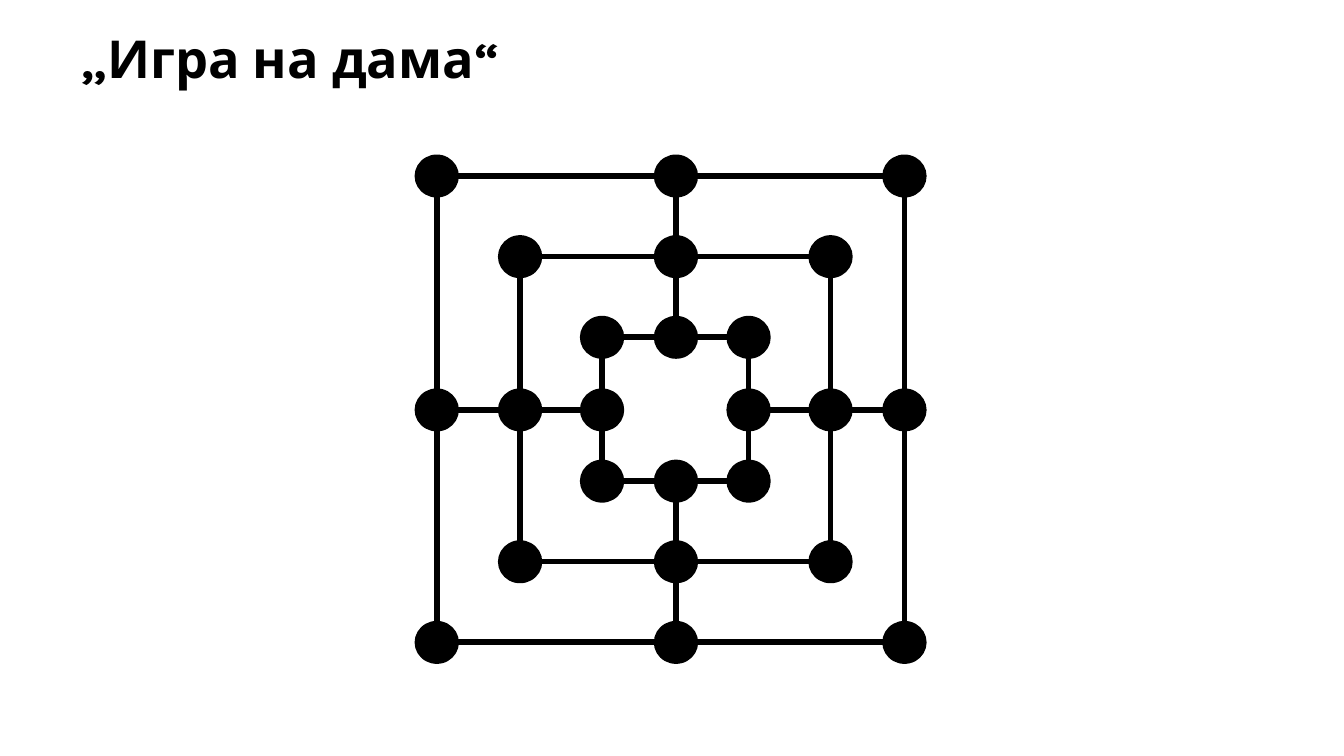
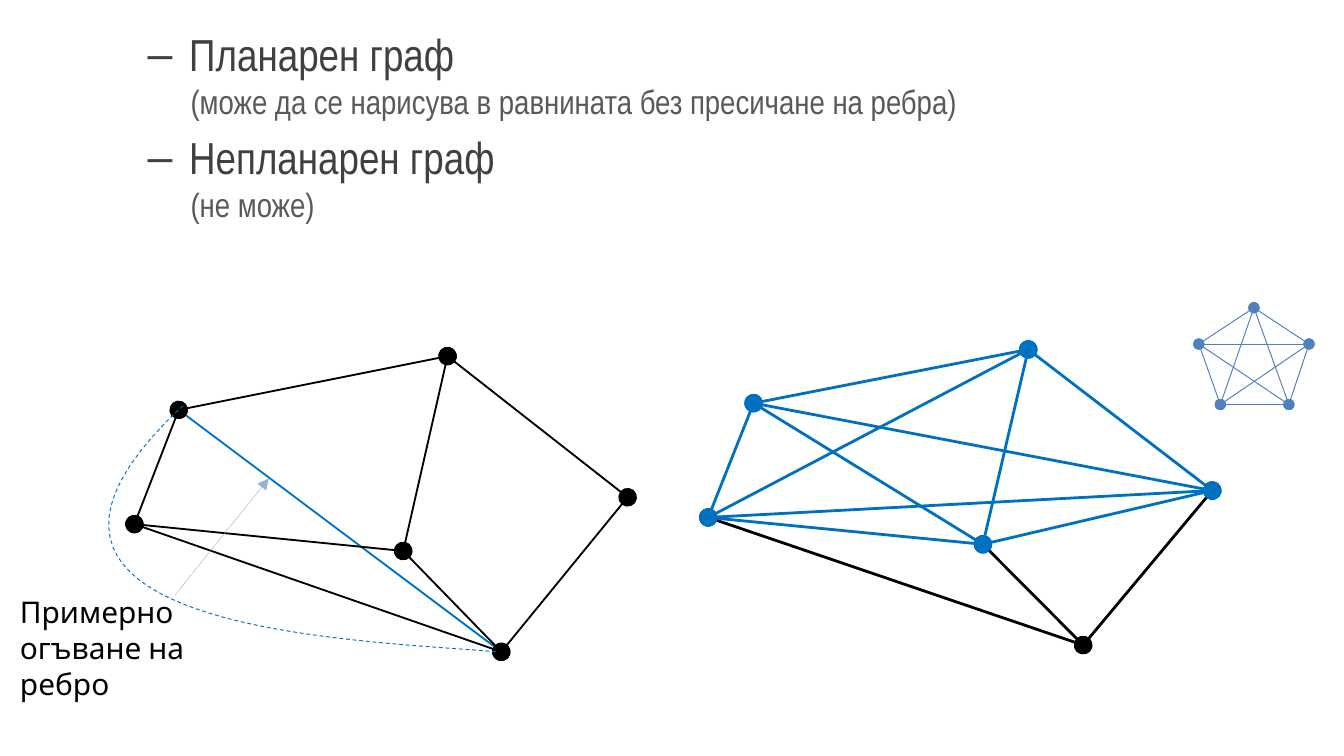
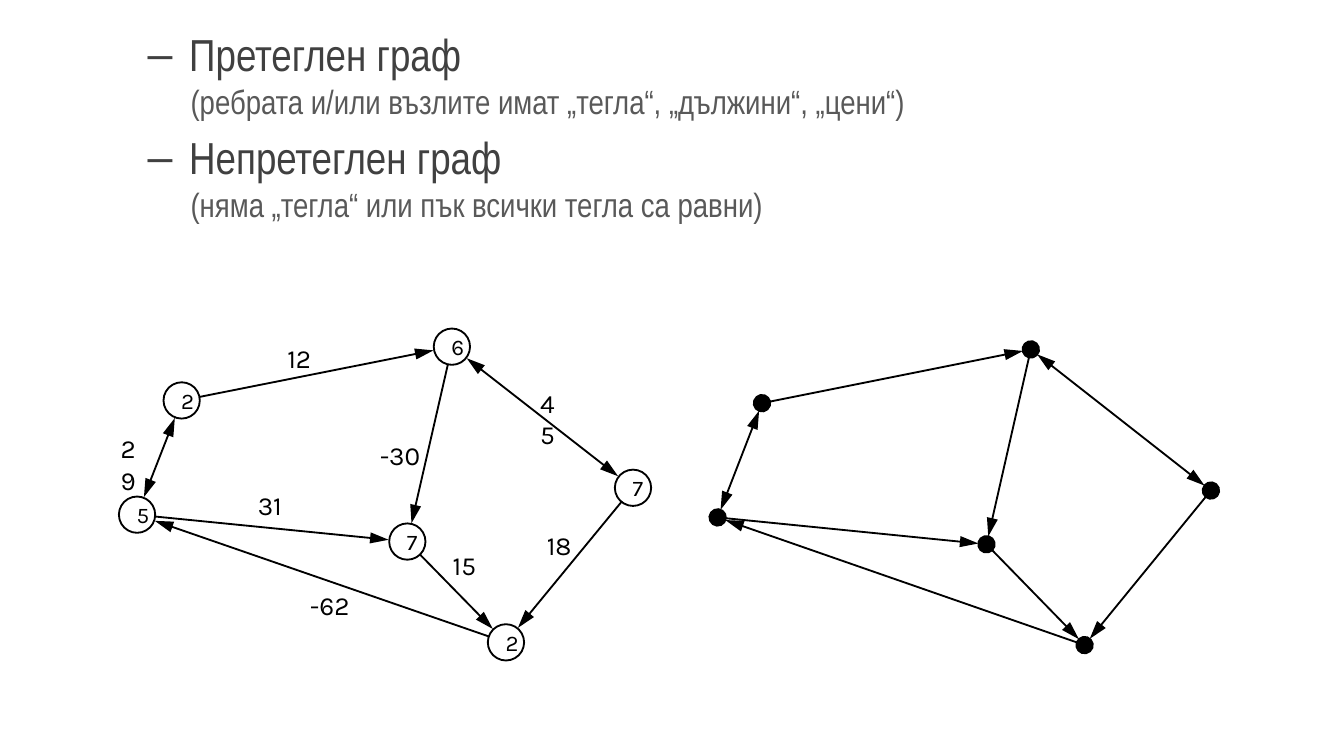
from itertools import combinations
from math import hypot

from lxml import etree
from pptx import Presentation
from pptx.dml.color import RGBColor
from pptx.enum.dml import MSO_LINE_DASH_STYLE as DASH
from pptx.enum.shapes import MSO_CONNECTOR, MSO_SHAPE
from pptx.enum.text import MSO_ANCHOR, MSO_AUTO_SIZE, PP_ALIGN
from pptx.oxml.ns import qn
from pptx.util import Inches, Pt

BLACK = RGBColor(0x00, 0x00, 0x00)
WHITE = RGBColor(0xFF, 0xFF, 0xFF)
BLUE = RGBColor(0x00, 0x70, 0xC0)
STEEL = RGBColor(0x4F, 0x81, 0xBD)
PALE_BLUE = RGBColor(0x95, 0xB3, 0xD7)
TERM_GREY = RGBColor(0x40, 0x40, 0x40)
NOTE_GREY = RGBColor(0x59, 0x59, 0x59)
BODY_FONT = "Arial Narrow"
LABEL_FONT = "Karla"
SLIDE_WIDTH = 10
SLIDE_HEIGHT = SLIDE_WIDTH * 9 / 16
BODY_BOX = (0.5, 0.15, 9.5, 5.17)

# Line ends: kind, width, length
DOT = ("oval", "lg", "lg")
SMALL_DOT = ("oval", "med", "med")
ARROW = ("triangle", "med", "lg")
SMALL_ARROW = ("triangle", "med", "med")

# Six-node layout within a box of GRAPH_SIZE
GRAPH_SIZE = (3.67, 2.2)
GRAPH_NODES = {"A": (0.33, 0.4), "B": (2.33, 0), "C": (3.67, 1.05),
               "D": (2, 1.45), "E": (0, 1.25), "F": (2.73, 2.2)}
PLANAR_EDGES = ("ED", "EF", "AB", "BD", "BC", "DF", "CF", "EA")
ONE_WAY_EDGES = ("ED", "FE", "AB", "BD", "CF", "DF")
TWO_WAY_EDGES = ("EA", "BC")

# Five-node layout within its own box
PENTAGON = ((0.41, 0), (0.82, 0.27), (0.67, 0.72), (0.16, 0.72), (0, 0.27))


def style_font(font, size, color, name, bold=False):
    font.size, font.name, font.bold = Pt(size), name, bold
    font.color.rgb = color


def add_text(slide, box, text, size, bold=False, wrap=True, grow=True):
    frame = slide.shapes.add_textbox(*map(Inches, box)).text_frame
    frame.word_wrap = wrap
    frame.auto_size = MSO_AUTO_SIZE.SHAPE_TO_FIT_TEXT if grow else MSO_AUTO_SIZE.NONE
    frame.text = text
    style_font(frame.paragraphs[0].font, size, BLACK, LABEL_FONT, bold)


def add_line(slide, start, end, color, width, head=None, tail=None, dash=None):
    line = slide.shapes.add_connector(MSO_CONNECTOR.STRAIGHT,
                                      *map(Inches, (*start, *end)))
    line.line.color.rgb = color
    line.line.width = Pt(width)
    if dash:
        line.line.dash_style = dash
    properties = line._element.spPr
    outline = properties.find(qn("a:ln"))
    for tag, line_end in (("a:headEnd", head), ("a:tailEnd", tail)):
        if line_end:
            etree.SubElement(outline, qn(tag), dict(zip(("type", "w", "len"), line_end)))
    etree.SubElement(properties, qn("a:effectLst"))


def add_preset(slide, preset, box, fill=None, width=None):
    shape = slide.shapes.add_shape(preset, *map(Inches, box))
    shape.shadow.inherit = False
    if fill is None:
        shape.fill.background()
    else:
        shape.fill.solid()
        shape.fill.fore_color.rgb = fill
    if width is None:
        shape.line.fill.background()
    else:
        shape.line.color.rgb = BLACK
        shape.line.width = Pt(width)
    return shape


def add_definitions(slide, definitions):
    """Dashed terms, each followed by an indented explanation."""
    frame = slide.shapes.add_textbox(*map(Inches, BODY_BOX)).text_frame
    frame.word_wrap = True
    rows = []
    for term, note in definitions:
        rows += [(term, 1, 0.81, 24, TERM_GREY), (note, 2, 1.13, 18, NOTE_GREY)]
    for index, (text, level, margin, size, color) in enumerate(rows):
        paragraph = frame.add_paragraph() if index else frame.paragraphs[0]
        paragraph.text = text
        paragraph.level = level
        properties = paragraph._p.get_or_add_pPr()
        properties.set("marL", str(Inches(margin)))
        properties.set("indent", str(Inches(-0.31)))
        if level == 1:
            if index:
                paragraph.space_before = Pt(4.8)
            etree.SubElement(properties, qn("a:buFont"), typeface="Arial")
            etree.SubElement(properties, qn("a:buChar"), char="–")
        else:
            etree.SubElement(properties, qn("a:buNone"))
        style_font(paragraph.font, size, color, BODY_FONT)


def place_nodes(left, top, width=GRAPH_SIZE[0], height=GRAPH_SIZE[1]):
    return {name: (left + x * width / GRAPH_SIZE[0], top + y * height / GRAPH_SIZE[1])
            for name, (x, y) in GRAPH_NODES.items()}


def add_edges(slide, nodes, edges, color, width, dot=DOT):
    for start, end in edges:
        add_line(slide, nodes[start], nodes[end], color, width, dot, dot)


def toward(start, end, gap):
    """The point at a given distance from start on the way to end."""
    share = gap / hypot(end[0] - start[0], end[1] - start[1])
    return tuple(a + (b - a) * share for a, b in zip(start, end))


def add_directed_graph(slide, nodes, gap):
    """Arrow tips stop short of the nodes by the gap."""
    for edge in TWO_WAY_EDGES + ONE_WAY_EDGES:
        start, end = (nodes[name] for name in edge)
        tip = toward(end, start, gap)
        if edge in TWO_WAY_EDGES:
            add_line(slide, toward(start, end, gap), tip, BLACK, 1, ARROW, ARROW)
        else:
            add_line(slide, start, tip, BLACK, 1, DOT, ARROW)


def add_bent_edge(slide, controls, steps=40):
    """Dashed cubic curve through sampled points."""
    points = []
    for step in range(steps + 1):
        t = step / steps
        weights = ((1 - t) ** 3, 3 * t * (1 - t) ** 2, 3 * t * t * (1 - t), t ** 3)
        points.append(tuple(Inches(sum(w * point[axis] for w, point in zip(weights, controls)))
                            for axis in (0, 1)))
    builder = slide.shapes.build_freeform(*points[0])
    builder.add_line_segments(points[1:], close=False)
    curve = builder.convert_to_shape()
    curve.shadow.inherit = False
    curve.fill.background()
    curve.line.color.rgb = BLUE
    curve.line.width = Pt(0.5)
    curve.line.dash_style = DASH.DASH


def add_board(slide, left, top):
    """Three nested squares, four spokes and a dot on every crossing."""
    columns = [left + x for x in (0, 0.62, 1.23, 1.78, 2.32, 2.93, 3.48)]
    rows = [top + y for y in (0, 0.6, 1.2, 1.74, 2.27, 2.87, 3.47)]
    middle, last = 3, 6
    dot_width, dot_height = 0.33, 0.32
    for ring in range(3):
        x, y = columns[ring], rows[ring]
        add_preset(slide, MSO_SHAPE.RECTANGLE,
                   (x, y, columns[last - ring] - x, rows[last - ring] - y), width=3)
    for outer, inner in ((0, 2), (last, last - 2)):
        add_line(slide, (columns[outer], rows[middle]), (columns[inner], rows[middle]), BLACK, 3)
        add_line(slide, (columns[middle], rows[outer]), (columns[middle], rows[inner]), BLACK, 3)
    for ring in range(3):
        stops = (ring, middle, last - ring)
        for column in stops:
            for row in stops:
                if (column, row) != (middle, middle):
                    add_preset(slide, MSO_SHAPE.OVAL,
                               (columns[column] - dot_width / 2, rows[row] - dot_height / 2,
                                dot_width, dot_height), BLACK)


def add_node_weights(slide, nodes, weights, size=0.27):
    for name, weight in weights.items():
        x, y = nodes[name]
        circle = add_preset(slide, MSO_SHAPE.OVAL,
                            (x - size / 2, y - size / 2, size, size), WHITE, 1)
        frame = circle.text_frame
        frame.vertical_anchor = MSO_ANCHOR.MIDDLE
        frame.text = weight
        paragraph = frame.paragraphs[0]
        paragraph.alignment = PP_ALIGN.CENTER
        style_font(paragraph.font, 12, BLACK, LABEL_FONT)


def build_game_slide(slide):
    add_text(slide, BODY_BOX, "„Игра на дама“", 28, bold=True, grow=False)
    add_board(slide, 3.25, 1.31)


def build_planar_slide(slide):
    add_definitions(slide, (
        ("Планарен граф", "(може да се нарисува в равнината без пресичане на ребра)"),
        ("Непланарен граф", "(не може)")))

    # Planar graph with one edge that can be bent around
    nodes = place_nodes(1, 2.65)
    add_line(slide, nodes["A"], nodes["F"], BLUE, 1)
    add_edges(slide, nodes, PLANAR_EDGES, BLACK, 1)
    add_bent_edge(slide, ((3.69, 4.85), (2.65, 4.76), (-0.45, 4.7), (1.37, 3.01)))
    add_text(slide, (0.05, 4.37, 1.98, 0.64), "Примерно огъване на ребро", 16)

    # Non-planar graph: A to E are all joined
    nodes = place_nodes(5.27, 2.6, width=3.75)
    add_edges(slide, nodes, ("EF", "CF", "DF"), BLACK, 1.5)
    add_edges(slide, nodes, combinations("ABCDE", 2), BLUE, 1.5)

    # Complete graph on five nodes
    pentagon = [(8.92 + x, 2.29 + y) for x, y in PENTAGON]
    add_edges(slide, pentagon, combinations(range(5), 2), STEEL, 0.5, SMALL_DOT)
    add_line(slide, (1.3, 4.43), (2, 3.56), PALE_BLUE, 0.25,
             tail=SMALL_ARROW, dash=DASH.SQUARE_DOT)


def build_weighted_slide(slide):
    add_definitions(slide, (
        ("Претеглен граф", "(ребрата и/или възлите имат „тегла“, „дължини“, „цени“)"),
        ("Непретеглен граф", "(няма „тегла“ или пък всички тегла са равни)")))

    # Edge weights
    for text, left, top, width in (
            ("45", 3.92, 2.83, 0.41), ("18", 3.97, 3.89, 0.4),
            ("-30", 2.73, 3.22, 0.52), ("12", 2.04, 2.5, 0.4),
            ("29", 0.8, 3.17, 0.42), ("31", 1.82, 3.59, 0.4),
            ("-62", 2.21, 4.34, 0.51), ("15", 3.27, 4.04, 0.39)):
        add_text(slide, (left, top, width, 0.34), text, 14, wrap=False)

    # Unweighted graph, then the weighted one
    add_directed_graph(slide, place_nodes(5.34, 2.6), gap=0.06)
    nodes = place_nodes(1.02, 2.58, width=3.69)
    add_directed_graph(slide, nodes, gap=0.14)
    add_node_weights(slide, nodes, dict(A="2", E="5", D="7", F="2", B="6", C="7"))


def main():
    presentation = Presentation()
    presentation.slide_width = Inches(SLIDE_WIDTH)
    presentation.slide_height = Inches(SLIDE_HEIGHT)
    blank = presentation.slide_layouts[6]
    for build in (build_game_slide, build_planar_slide, build_weighted_slide):
        build(presentation.slides.add_slide(blank))
    presentation.save("out.pptx")


if __name__ == "__main__":
    main()
